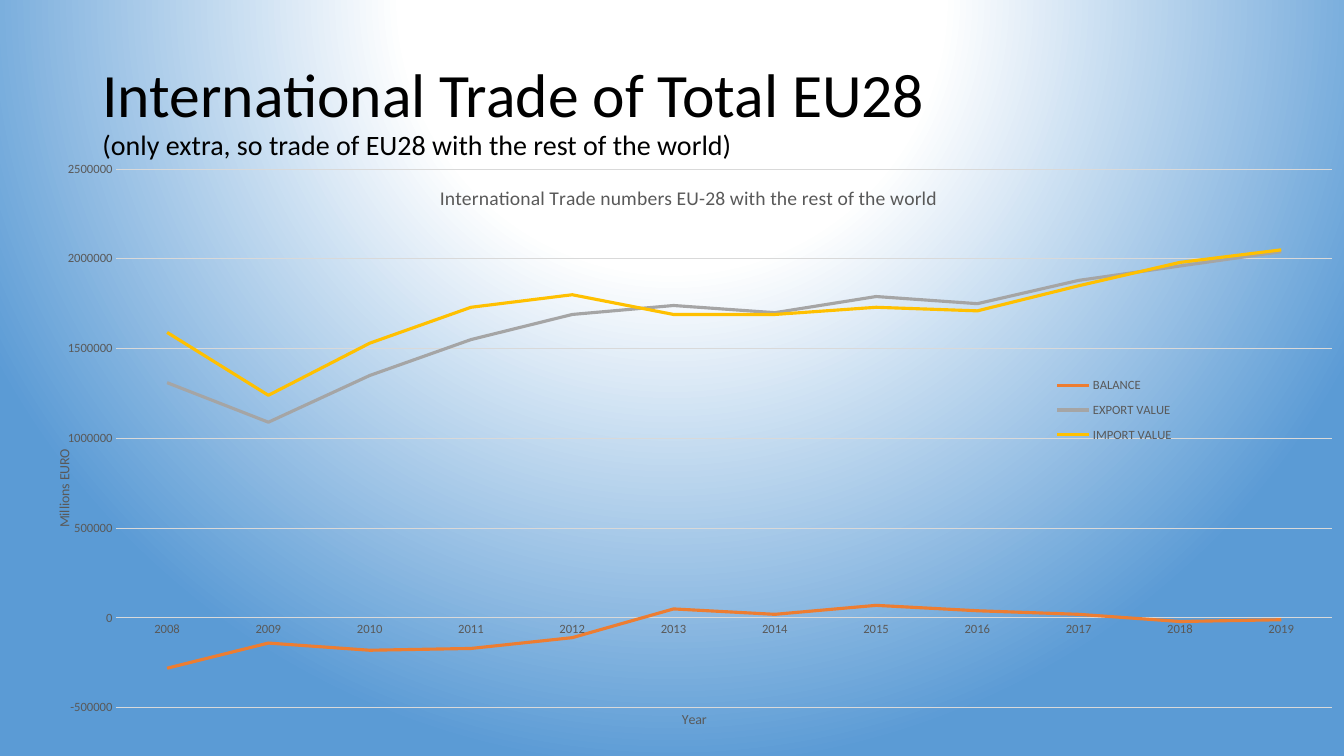
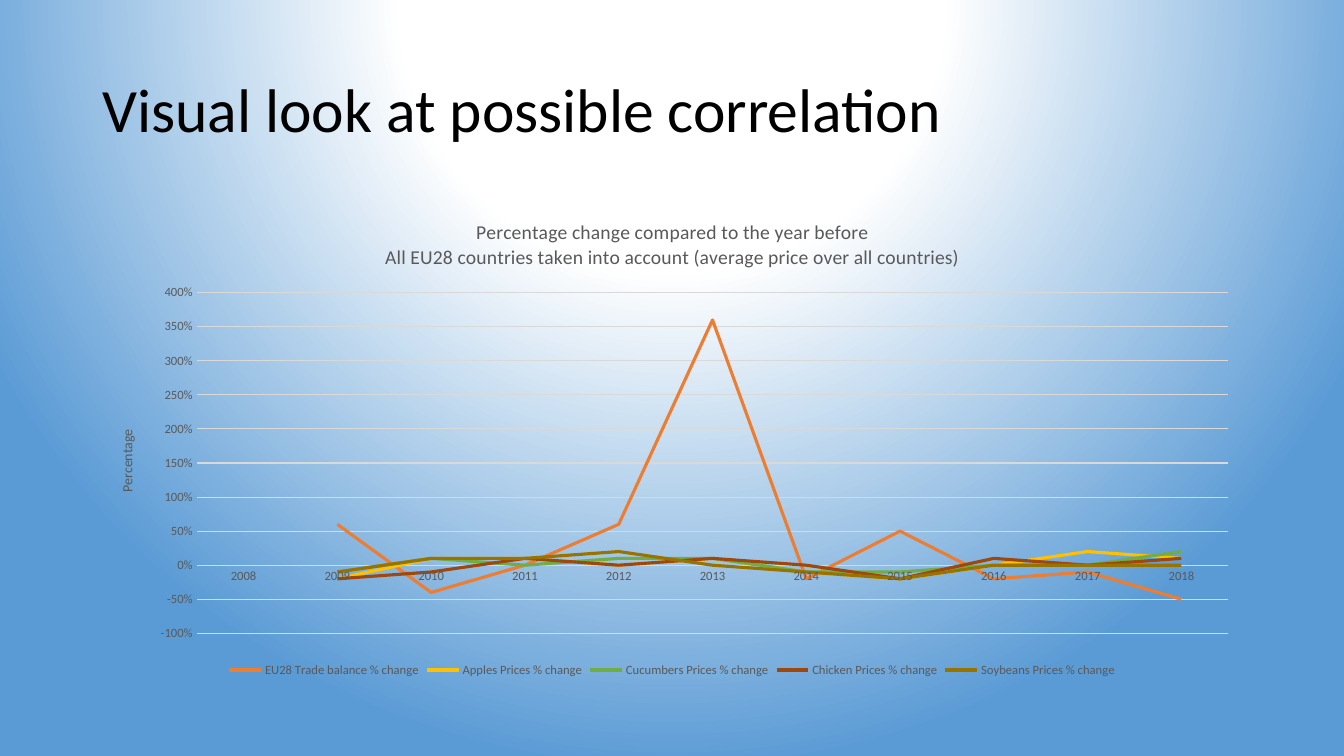
from pptx import Presentation
from pptx.chart.data import CategoryChartData
from pptx.dml.color import RGBColor
from pptx.enum.chart import XL_CHART_TYPE, XL_LEGEND_POSITION, XL_TICK_MARK
from pptx.enum.text import MSO_ANCHOR, PP_ALIGN
from pptx.oxml import parse_xml
from pptx.oxml.ns import nsdecls, qn
from pptx.util import Pt

PX = 9525
FONT = "Calibri"
BLACK = RGBColor(0x00, 0x00, 0x00)
WHITE = RGBColor(0xFF, 0xFF, 0xFF)
BLUE = RGBColor(0x5B, 0x9B, 0xD5)
TEXT_GRAY = RGBColor(0x59, 0x59, 0x59)
GRID_GRAY = RGBColor(0xD9, 0xD9, 0xD9)
ORANGE = RGBColor(0xED, 0x7D, 0x31)
GRAY = RGBColor(0xA5, 0xA5, 0xA5)
GOLD = RGBColor(0xFF, 0xC0, 0x00)
GREEN = RGBColor(0x70, 0xAD, 0x47)
BROWN = RGBColor(0x9E, 0x48, 0x0E)
OLIVE = RGBColor(0x99, 0x73, 0x00)
LINE = XL_CHART_TYPE.LINE
NO_TICK = XL_TICK_MARK.NONE
RIGHT, BOTTOM = XL_LEGEND_POSITION.RIGHT, XL_LEGEND_POSITION.BOTTOM
LEFT, MIDDLE = PP_ALIGN.LEFT, MSO_ANCHOR.MIDDLE

SLIDES = [
    {
        "title": "International Trade of Total EU28 \n"
                 "(only extra, so trade of EU28 with the rest of the world)",
        "sizes": [44, 20],
        "box": (50, 154, 1219, 543),
        "years": range(2008, 2020),
        "chart_title": "International Trade numbers EU-28 with the rest of the world",
        "title_at": (0.3, 0.03),
        "overlay": True,
        "plot_at": (0.05, 0.01, 0.95, 0.95),
        "x_title": ("Year", (0.49, 0.96)),
        "y_title": ("Millions EURO", (0, 0.5)),
        "scale": (-500000, 2500000, 500000),
        "format": "General",
        "legend": RIGHT,
        "legend_at": (0.78, 0.36, 0.1, 0.15),
        "series": [
            ("BALANCE", ORANGE,
             [-280000, -140000, -180000, -170000, -110000, 50000,
              20000, 70000, 40000, 20000, -20000, -10000]),
            ("EXPORT VALUE", GRAY,
             [1310000, 1090000, 1350000, 1550000, 1690000, 1740000,
              1700000, 1790000, 1750000, 1880000, 1960000, 2040000]),
            ("IMPORT VALUE", GOLD,
             [1590000, 1240000, 1530000, 1730000, 1800000, 1690000,
              1690000, 1730000, 1710000, 1850000, 1980000, 2050000]),
        ],
    },
    {
        "title": "Visual look at possible correlation",
        "sizes": [44],
        "box": (88, 192, 1104, 457),
        "years": range(2008, 2019),
        "chart_title": "Percentage change compared to the year before\n"
                       "All EU28 countries taken into account (average price over all countries)",
        "title_at": (0.25, 0.03),
        "overlay": False,
        "plot_at": (0.09, 0.19, 0.89, 0.71),
        "x_title": None,
        "y_title": ("Percentage", (0.02, 0.47)),
        "scale": (-1, 4, 0.5),
        "format": "0%",
        "legend": BOTTOM,
        "legend_at": None,
        "series": [
            ("EU28 Trade balance % change", ORANGE,
             [None, 0.6, -0.4, 0, 0.6, 3.6, -0.2, 0.5, -0.2, -0.1, -0.5]),
            ("Apples Prices % change", GOLD,
             [None, -0.2, 0.1, 0.1, 0, 0.1, -0.1, -0.2, 0, 0.2, 0.1]),
            ("Cucumbers Prices % change", GREEN,
             [None, -0.1, 0.1, 0, 0.1, 0.1, -0.1, -0.1, 0, 0, 0.2]),
            ("Chicken Prices % change", BROWN,
             [None, -0.2, -0.1, 0.1, 0, 0.1, 0, -0.2, 0.1, 0, 0.1]),
            ("Soybeans Prices % change", OLIVE,
             [None, -0.1, 0.1, 0.1, 0.2, 0, -0.1, -0.2, 0, 0, 0]),
        ],
    },
]


def set_layout(element, place, target=""):
    old = element.find(qn("c:layout"))
    if old is not None:
        element.remove(old)
    modes = "".join(f'<c:{k}Mode val="edge"/>' for k in "xy")
    values = "".join(f'<c:{k} val="{v}"/>' for k, v in zip("xywh", place))
    layout = parse_xml(
        f'<c:layout {nsdecls("c")}><c:manualLayout>{target}{modes}{values}'
        "</c:manualLayout></c:layout>")
    overlay = element.find(qn("c:overlay"))
    if overlay is None:
        element.insert(0, layout)
    else:
        overlay.addprevious(layout)


def set_title(title, text, size, place):
    tf = title.text_frame
    tf.text = text
    for p in tf.paragraphs:
        for r in p.runs:
            r.font.name = FONT
            r.font.size = Pt(size)
            r.font.bold = False
            r.font.color.rgb = TEXT_GRAY
    set_layout(title._element, place)
    return tf


prs = Presentation()
prs.slide_width, prs.slide_height = 1280 * PX, 720 * PX

stops = "".join(
    f'<a:gs pos="{pos}"><a:srgbClr val="{color}"/></a:gs>'
    for pos, color in [(0, WHITE), (35000, WHITE), (100000, BLUE)])
c_sld = prs.slide_master._element.cSld
c_sld.remove(c_sld.find(qn("p:bg")))
c_sld.insert(0, parse_xml(
    f'<p:bg {nsdecls("p", "a")}><p:bgPr><a:gradFill rotWithShape="1">'
    f'<a:gsLst>{stops}</a:gsLst><a:path path="circle">'
    '<a:fillToRect l="50000" t="-80000" r="50000" b="180000"/></a:path>'
    "</a:gradFill><a:effectLst/></p:bgPr></p:bg>"))

for info in SLIDES:
    s = prs.slides.add_slide(prs.slide_layouts[5])
    sp = s.shapes.title
    sp.left, sp.top, sp.width, sp.height = [v * PX for v in (88, 38, 1104, 139)]
    tf = sp.text_frame
    tf.vertical_anchor = MIDDLE
    p = tf.paragraphs[0]
    p.text = info["title"]
    p.alignment = LEFT
    p.line_spacing = 0.9
    for r, size in zip(p.runs, info["sizes"]):
        r.font.name = FONT
        r.font.size = Pt(size)
        r.font.color.rgb = BLACK

    data = CategoryChartData()
    data.categories = [str(year) for year in info["years"]]
    for name, color, values in info["series"]:
        data.add_series(name, values)
    chart = s.shapes.add_chart(LINE, *[v * PX for v in info["box"]], data).chart
    chart.font.name = FONT
    chart.font.size = Pt(10)
    chart.font.color.rgb = BLACK

    chart.has_title = True
    set_title(chart.chart_title, info["chart_title"], 14, info["title_at"])
    overlay = chart.chart_title._element.find(qn("c:overlay"))
    overlay.set("val", str(int(info["overlay"])))
    plot_area = chart._chartSpace.chart.plotArea
    set_layout(plot_area, info["plot_at"], '<c:layoutTarget val="inner"/>')

    cat, val = chart.category_axis, chart.value_axis
    for axis, title in [(cat, info["x_title"]), (val, info["y_title"])]:
        axis.major_tick_mark = axis.minor_tick_mark = NO_TICK
        font = axis.tick_labels.font
        font.name = FONT
        font.size = Pt(9)
        font.color.rgb = TEXT_GRAY
        axis.has_title = title is not None
        if title:
            tf = set_title(axis.axis_title, title[0], 10, title[1])
            if axis is val:
                body = tf._txBody.bodyPr
                body.set("rot", "-5400000")
                body.set("vert", "horz")
    val.minimum_scale, val.maximum_scale, val.major_unit = info["scale"]
    val.tick_labels.number_format = info["format"]
    val.tick_labels.number_format_is_linked = False
    val.has_major_gridlines = True
    val.format.line.fill.background()
    for line in (cat.format.line, val.major_gridlines.format.line):
        line.color.rgb = GRID_GRAY
        line.width = Pt(0.75)

    chart.has_legend = True
    legend = chart.legend
    legend.position = info["legend"]
    legend.include_in_layout = False
    legend.font.name = FONT
    legend.font.size = Pt(9)
    legend.font.color.rgb = TEXT_GRAY
    if info["legend_at"]:
        set_layout(legend._element, info["legend_at"])

    plot = chart.plots[0]
    plot.vary_by_categories = False
    for series, (name, color, values) in zip(plot.series, info["series"]):
        series.smooth = False
        series.format.line.color.rgb = color
        series.format.line.width = Pt(2.25)

prs.save("out.pptx")
